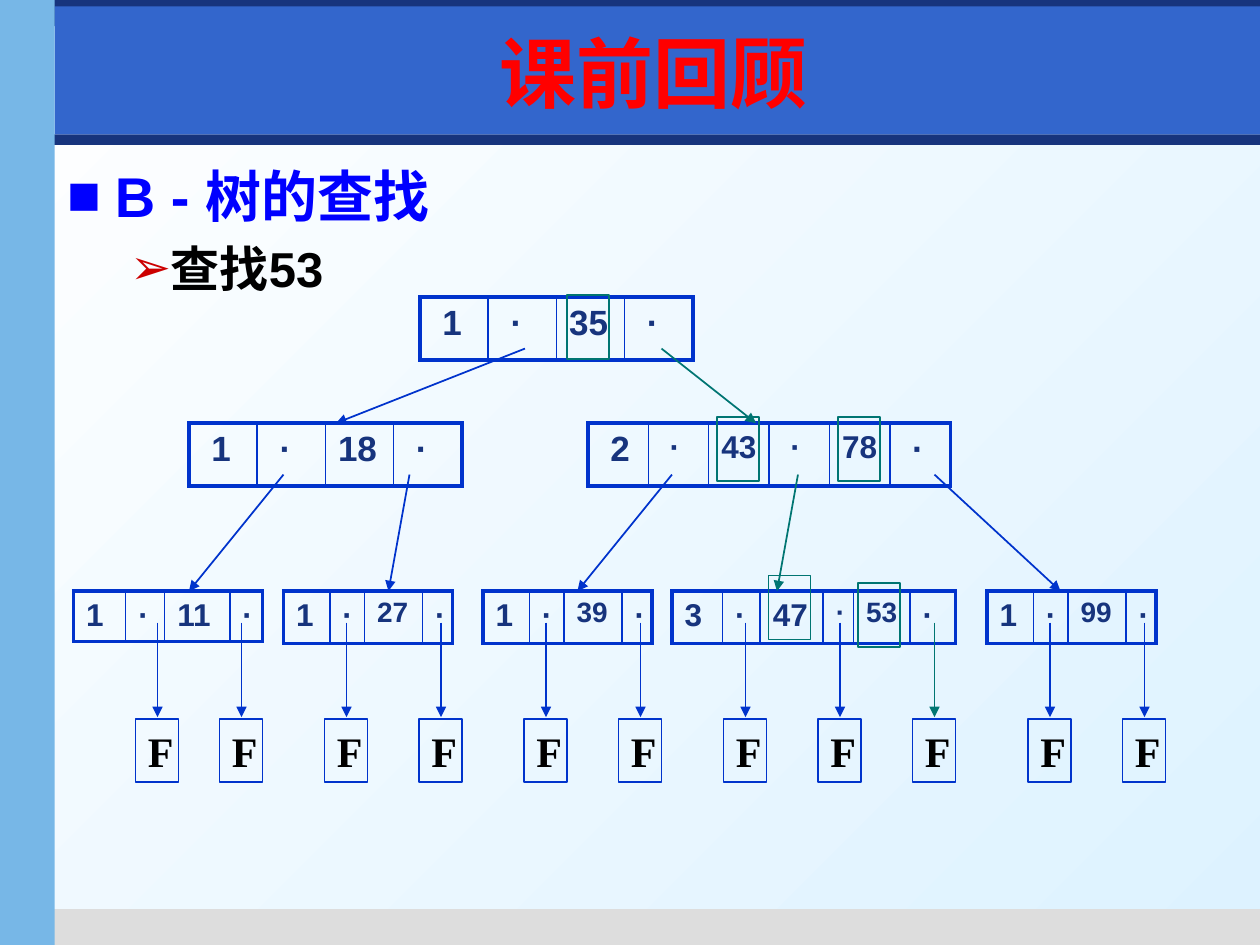
from itertools import accumulate
from lxml.etree import SubElement as Sub
from pptx import Presentation
from pptx.dml.color import RGBColor as RGB
from pptx.enum.shapes import MSO_CONNECTOR as Link, MSO_SHAPE as Kind
from pptx.enum.text import MSO_ANCHOR as Anchor, PP_ALIGN as Align
from pptx.oxml.ns import qn
from pptx.util import Inches, Pt

NAVY = RGB(0x17, 0x34, 0x7D)
BLUE = RGB(0x33, 0x66, 0xCC)
SKY = RGB(0x77, 0xB7, 0xE7)
GREY = RGB(0xDD, 0xDD, 0xDD)
WHITE = RGB(0xFF, 0xFF, 0xFF)
PALE = RGB(0xDD, 0xF2, 0xFF)
INK = RGB(0x00, 0x33, 0xCC)
TEAL = RGB(0x00, 0x75, 0x72)
RED = RGB(0xFF, 0x00, 0x00)
PURE = RGB(0x00, 0x00, 0xFF)
DARK = RGB(0xCC, 0x00, 0x00)
BLACK = RGB(0x00, 0x00, 0x00)

COLS, ROWS = 120, 90
UNIT = Inches(10) / COLS

BARS = [
    (0, 12.8, 120, 1, NAVY),
    (4.2, 86.6, 115.8, 3.4, GREY),
    (0, 0, 120, 2.5, NAVY),
    (5.2, 0.6, 114.8, 12.2, BLUE),
    (0, 0, 5.2, 90, SKY),
]
TITLE = "课前回顾"
POINTS = [
    ("B - 树的查找", 32, PURE, "■", PURE, 0.38, 0.38),
    ("查找53", 28, BLACK, "➢", DARK, 0.81, 0.31),
]

LEAF = (8, 6, 10, 5)
EVEN = (1, 1, 1, 1)
NODES = [
    (40, 28.3, 26, 6, EVEN, [" 1", " ·", "35", " ·"], [20] * 4),
    (18, 40.3, 26, 6, EVEN, [" 1", " ·", "18", " ·"], [20] * 4),
    (56, 40.3, 34.5, 6, EVEN + (1, 1),
     [" 2", " ·", "43", " ·", "78", " ·"], [20, 18, 18, 18, 18, 20]),
    (7, 56.3, 18, 4.7, LEAF, ["1", "·", "11", "·"], [18] * 4),
    (27, 56.3, 16, 5, LEAF, ["1", "·", "27", "·"], [18, 18, 16, 18]),
    (46, 56.3, 16, 5, LEAF, ["1", "·", "39", "·"], [18, 18, 16, 18]),
    (94, 56.3, 16, 5, LEAF, ["1", "·", "99", "·"], [18, 18, 16, 18]),
    (64, 56.3, 27, 5, (40, 30, 50, 24, 45, 36),
     ["3", "·", "47", "·", "53", "·"], [18, 18, 18, 16, 16, 18]),
]
LEVELS = [
    (33.2, 40.3, [(50, 32, INK), (63, 72, TEAL)]),
    (45.2, 56.3, [(27, 18, INK), (39, 37, INK), (64, 55, INK),
                  (76, 74, TEAL), (89, 101, INK)]),
]
FAILS = [15, 23, 33, 42, 52, 61, 71, 80, 89, 100, 109]
FOUND = 89
MARKS = [(54, 28.1), (68.3, 39.7), (79.8, 39.7), (73.2, 54.8), (81.7, 55.5)]


def grid(*nums):
    return [round(n * UNIT) for n in nums]


def write(par, text, size, color, font="Arial"):
    run = par.add_run()
    run.text = text
    face = run.font
    face.name, face.size, face.bold = font, Pt(size), True
    face.color.rgb = color


def rect(slide, box, fill=None, line=None):
    shape = slide.shapes.add_shape(Kind.RECTANGLE, *grid(*box))
    shape.shadow.inherit = False
    if fill is None:
        shape.fill.background()
    else:
        shape.fill.solid()
        shape.fill.fore_color.rgb = fill
    if line is None:
        shape.line.fill.background()
    else:
        shape.line.color.rgb = line
        shape.line.width = Pt(1)


def frame(slide, box):
    shape = slide.shapes.add_textbox(*grid(*box))
    shape.text_frame.word_wrap = True
    return shape


def arrow(slide, start, end, color):
    link = slide.shapes.add_connector(Link.STRAIGHT, *grid(*start, *end))
    link.line.color.rgb = color
    link.line.width = Pt(1)
    Sub(link.line._get_or_add_ln(), qn("a:tailEnd"), type="triangle")
    Sub(link._element.spPr, qn("a:effectLst"))


def bullet(par, mark, color, left, hang):
    props = par._p.get_or_add_pPr()
    props.set("marL", str(Inches(left)))
    props.set("indent", str(-Inches(hang)))
    gap = Sub(props, qn("a:spcBef"))
    Sub(gap, qn("a:spcPct"), val="20000")
    tint = Sub(props, qn("a:buClr"))
    Sub(tint, qn("a:srgbClr"), val=str(color))
    Sub(props, qn("a:buFont"), typeface="Arial")
    Sub(props, qn("a:buChar"), char=mark)


def edge(cell, side, width):
    line = Sub(cell._tc.get_or_add_tcPr(), qn("a:ln" + side), w=str(Pt(width)))
    fill = Sub(line, qn("a:solidFill"))
    Sub(fill, qn("a:srgbClr"), val=str(INK))


def node(slide, x, y, wide, high, parts, words, sizes):
    table = slide.shapes.add_table(1, len(parts), *grid(x, y, wide, high)).table
    table.first_row = table.horz_banding = False
    stops = grid(*(wide * s / sum(parts) for s in accumulate(parts, initial=0)))
    last = len(parts) - 1
    for i, (word, size) in enumerate(zip(words, sizes)):
        table.columns[i].width = stops[i + 1] - stops[i]
        cell = table.cell(0, i)
        edge(cell, "L", 2.25 if i == 0 else 1)
        edge(cell, "R", 2.25 if i == last else 1)
        edge(cell, "T", 2.25)
        edge(cell, "B", 2.25)
        cell.fill.background()
        write(cell.text_frame.paragraphs[0], word, size, NAVY)


def main():
    deck = Presentation()
    deck.slide_width, deck.slide_height = grid(COLS, ROWS)
    slide = deck.slides.add_slide(deck.slide_layouts[6])

    back = slide.background.fill
    back.gradient()
    back.gradient_angle = 315
    for stop, color in zip(back.gradient_stops, (WHITE, PALE)):
        stop.color.rgb = color
    for *box, fill in BARS:
        rect(slide, box, fill=fill)

    body = frame(slide, (5.2, 14.8, 112.4, 70.8)).text_frame
    for i, (text, size, color, *style) in enumerate(POINTS):
        par = body.add_paragraph() if i else body.paragraphs[0]
        par.level = i
        bullet(par, *style)
        write(par, text, size, color)

    for spec_row in NODES:
        node(slide, *spec_row)
    for top, low, links in LEVELS:
        for x, to, color in links:
            arrow(slide, (x, top), (to, low), color)
    for x in FAILS:
        box = frame(slide, (x - 2.1, 68.5, 4.1, 6))
        box.line.color.rgb = INK
        box.line.width = Pt(1)
        write(box.text_frame.paragraphs[0], "F", 24, BLACK, "Times New Roman")
        arrow(slide, (x, 59.3), (x, 68.3), TEAL if x == FOUND else INK)
    for x, y in MARKS:
        rect(slide, (x, y, 4, 6.1), line=TEAL)

    head = frame(slide, (7, 1.6, 110.5, 10.4)).text_frame
    head.vertical_anchor = Anchor.MIDDLE
    head.paragraphs[0].alignment = Align.CENTER
    write(head.paragraphs[0], TITLE, 44, RED, "DejaVu Sans")

    deck.save("out.pptx")


if __name__ == "__main__":
    main()
